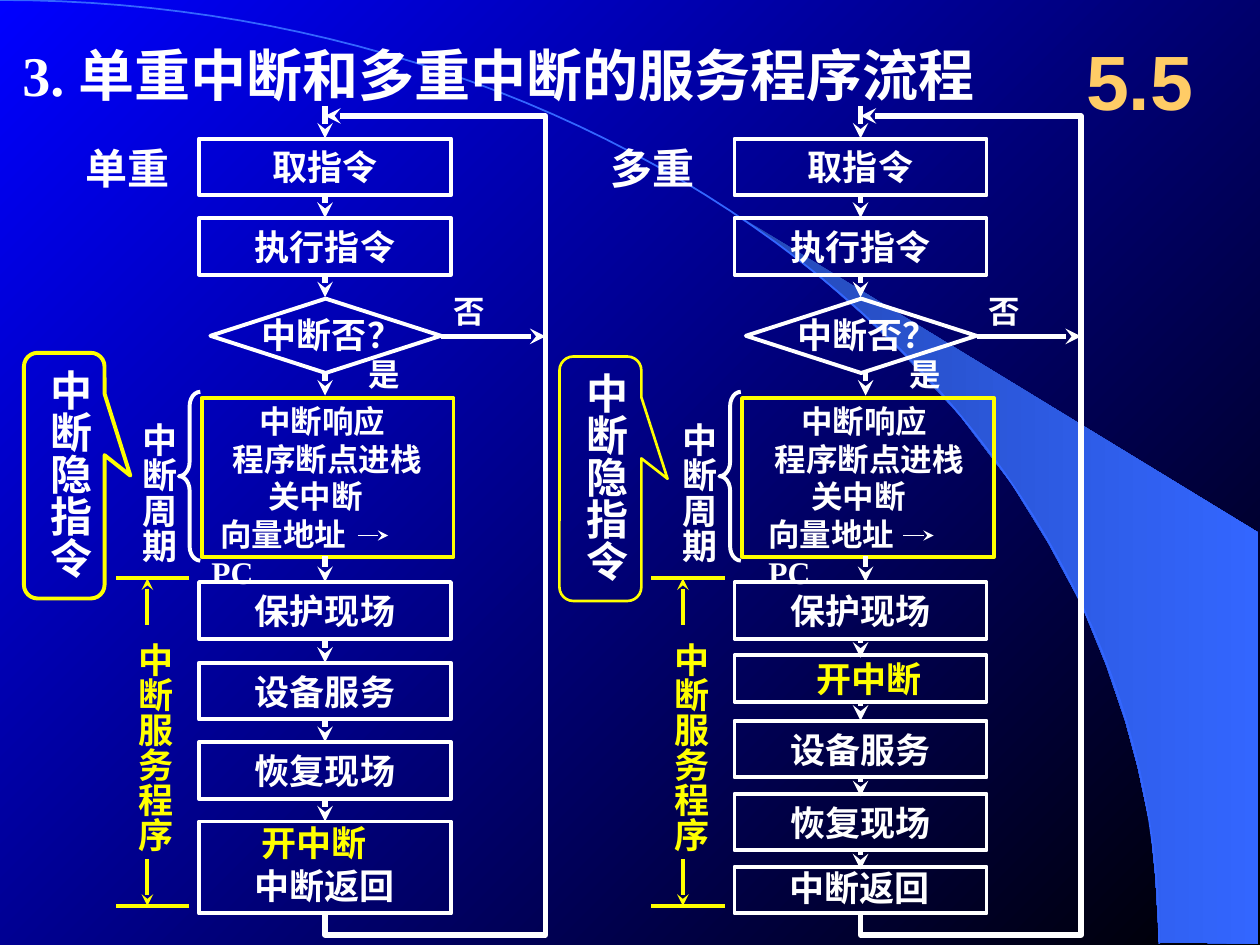
import math
from lxml import etree
from pptx import Presentation, util as u
from pptx.dml.color import RGBColor
from pptx.enum import shapes as s, text as t
from pptx.oxml import ns

THEME = dict(
    white="FFFFFF", yellow="FFFF00", amber="FFCC66", blue="3366FF",
    sky=("0000FF", "000000"), beam=("2449B6", "3366FF"),
    serif="Times New Roman", sans="Arial",
    title=32, number=44, lane=24, step=20, note=18,
    heavy=3, border=2.25, thin=0.75,
)
WIDTH, HEIGHT = 10, 7.5
BOX_W, BOX_H, MIN_ARROW = 2, 0.45, 0.15
LOOP_TOP, LOOP_BOTTOM, LOOP_REACH = 0.92, 7.42, 1.75
BRANCH_Y = 2.67

# Content: x values are offsets from the centre axis of each lane
TITLE, SECTION = "3. 单重中断和多重中断的服务程序流程", "5.5"
FETCH = [("取指令", 1.1, BOX_H), ("执行指令", 1.73, BOX_H)]
CYCLE = ["中断响应", "程序断点进栈", "关中断", "向量地址", "PC"]
LANES = [
    dict(name="单重", axis=2.58, name_dx=-2.0, cycle_dx=0, cycle_text_dx=-1.0,
         indents=[0.38, 0.17, 0.45, 0.07, 0], vector_dx=0.26,
         callout=(-2.39, 2.8, 0.64, 1.95), callout_line=2.25,
         service=[("保护现场", 4.62, BOX_H), ("设备服务", 5.26, BOX_H),
                  ("恢复现场", 5.89, BOX_H), ("", 6.52, 0.73)],
         captions=[("开中断", -0.6, 6.47, "yellow"), ("中断返回", -0.66, 6.81, "white")]),
    dict(name="多重", axis=6.83, name_dx=-2.08, cycle_dx=0.04, cycle_text_dx=-0.83,
         indents=[0.26, 0.05, 0.34, 0, 0], vector_dx=0.34,
         callout=(-2.39, 2.83, 0.65, 1.94), callout_line=1.5,
         service=[("保护现场", 4.62, BOX_H), ("", 5.2, 0.37), ("设备服务", 5.72, BOX_H),
                  ("恢复现场", 6.3, BOX_H), ("", 6.88, 0.37)],
         captions=[("开中断", -0.45, 5.17, "yellow"), ("中断返回", -0.66, 6.83, "white")]),
]
BEAM = [(9.2, 7.48), (9.99, 7.49), (9.99, 4.23), (5.89, 1.73), (6.24, 1.99), (6.53, 2.22),
        (6.85, 2.5), (7.16, 2.8), (7.62, 3.3), (8.03, 3.84), (8.32, 4.31), (8.58, 4.79),
        (8.78, 5.28), (8.93, 5.72), (9.03, 6.09), (9.13, 6.56), (9.17, 6.96)]

deck = Presentation()
deck.slide_width, deck.slide_height = u.Inches(WIDTH), u.Inches(HEIGHT)
slide = deck.slides.add_slide(deck.slide_layouts[6])


def rgb(color):
    return RGBColor.from_string(THEME.get(color, color))


def assign(target, **values):
    for key, value in values.items():
        setattr(target, key, value)


def gradient(fill, colors, angle):
    fill.gradient()
    fill.gradient_angle = angle
    for stop, color in zip(fill.gradient_stops, colors):
        stop.color.rgb = rgb(color)


def outline(part, color, width, arrow=False):
    part.line.color.rgb = rgb(color)
    part.line.width = u.Pt(width)
    if arrow:
        etree.SubElement(part.line._get_or_add_ln(), ns.qn("a:tailEnd"), type="stealth")


def write(part, lines, size, color="white", font="serif", indents=None, vertical=False,
          align=t.PP_ALIGN.LEFT, anchor=t.MSO_ANCHOR.TOP, inset=(0.1, 0.05, 0, 0)):
    frame = part.text_frame
    sides = ("margin_left", "margin_top", "margin_right", "margin_bottom")
    assign(frame, word_wrap=True, vertical_anchor=anchor,
           **{side: u.Inches(gap) for side, gap in zip(sides, inset)})
    if vertical:
        frame._txBody.bodyPr.set("vert", "eaVert")
    for i, line in enumerate(lines):
        para = frame.paragraphs[0] if i == 0 else frame.add_paragraph()
        para.alignment = align
        if indents:
            para._p.get_or_add_pPr().set("marL", str(u.Inches(indents[i])))
        run = para.add_run()
        run.text = line
        assign(run.font, name=THEME[font], size=u.Pt(THEME[size]), bold=True)
        run.font.color.rgb = rgb(color)


def label(lines, x, y, w, h, size, **style):
    write(slide.shapes.add_textbox(*map(u.Inches, (x, y, w, h))), lines, size, **style)


def shape(kind, x, y, w, h, color="white", width=THEME["border"], adjust=()):
    part = slide.shapes.add_shape(kind, *map(u.Inches, (x, y, w, h)))
    part.shadow.inherit = False
    part.fill.background()
    outline(part, color, width)
    for i, value in enumerate(adjust):
        part.adjustments[i] = value
    return part


def line(x1, y1, x2, y2, color="white", width=THEME["heavy"], arrow=True):
    part = slide.shapes.add_connector(s.MSO_CONNECTOR.STRAIGHT,
                                      *map(u.Inches, (x1, y1, x2, y2)))
    outline(part, color, width, arrow)
    etree.SubElement(part._element.spPr, ns.qn("a:effectLst"))


def outline_path(points, close=False):
    first, *rest = [(u.Inches(x), u.Inches(y)) for x, y in points]
    builder = slide.shapes.build_freeform(*first)
    builder.add_line_segments(rest, close=close)
    part = builder.convert_to_shape()
    part.shadow.inherit = False
    part.fill.background()
    return part


def draw_lane(lane):
    axis = lane["axis"]
    left = axis - BOX_W / 2

    # Boxes and the arrows between them
    for group in (FETCH, lane["service"]):
        for name, y, h in group:
            box = shape(s.MSO_SHAPE.RECTANGLE, left, y, BOX_W, h)
            if name:
                write(box, [name], "step", align=t.PP_ALIGN.CENTER,
                      anchor=t.MSO_ANCHOR.MIDDLE, inset=(0, 0, 0, 0))
        for (_, y, h), (_, below, _) in zip(group, group[1:]):
            line(axis, y + h, axis, max(below, y + h + MIN_ARROW))
    for caption, dx, y, color in lane["captions"]:
        label([caption], axis + dx, y, 1.32, 0.43, "step", color=color)
    line(axis, 0.84, axis, 1.1)
    line(axis, 2.18, axis, 2.36)

    # Decision
    label(["中断否？"], axis - 0.6, 2.44, 1.32, 0.43, "step")
    shape(s.MSO_SHAPE.DIAMOND, axis - 0.91, 2.37, 1.83, 0.59)
    label(["否"], axis + 0.92, 2.27, 0.45, 0.4, "note")

    # Interrupt cycle
    cycle = axis + lane["cycle_dx"]
    label(CYCLE, axis + lane["cycle_text_dx"], 3.14, 1.95, 1.6, "note",
          indents=lane["indents"])
    vector = axis + lane["vector_dx"]
    line(vector, 4.25, vector + 0.24, 4.25, width=THEME["thin"])
    shape(s.MSO_SHAPE.RECTANGLE, cycle - 0.98, 3.16, BOX_W, 1.26, "yellow")
    line(cycle, 2.96, cycle, 3.14)
    line(cycle, 4.41, cycle, 4.62)
    label(["中断周期"], cycle - 1.61, 3.26, 0.53, 1.22, "step", vertical=True,
          anchor=t.MSO_ANCHOR.MIDDLE)
    shape(s.MSO_SHAPE.LEFT_BRACE, cycle - 1.16, 3.11, 0.17, 1.34, adjust=(0.67, 0.5))
    label(["是"], cycle + 0.25, 2.77, 0.45, 0.4, "note")

    # Extent of the service program
    for edge, inner in ((4.59, 4.96), (7.19, 6.82)):
        line(axis - 1.08, edge, axis - 1.66, edge, "yellow", THEME["border"], arrow=False)
        line(axis - 1.41, inner, axis - 1.41, edge, "yellow", THEME["border"])
    label(["中断服务程序"], axis - 1.64, 5, 0.53, 1.78, "step", color="yellow",
          vertical=True, anchor=t.MSO_ANCHOR.MIDDLE)

    # Callout
    dx, *place = lane["callout"]
    callout = shape(s.MSO_SHAPE.ROUNDED_RECTANGULAR_CALLOUT, axis + dx, *place, "yellow",
                    lane["callout_line"], adjust=(0.82, 0, 0.17))
    write(callout, ["中断隐指令"], "lane", vertical=True, anchor=t.MSO_ANCHOR.MIDDLE,
          inset=(0.12, 0.05, 0.03, 0))

    # Return loop and the branch that joins it
    rail = axis + LOOP_REACH
    loop = outline_path([(axis, 7.25), (axis, LOOP_BOTTOM), (rail, LOOP_BOTTOM),
                         (rail, LOOP_TOP), (axis, LOOP_TOP)])
    outline(loop, "white", THEME["heavy"], arrow=True)
    line(axis + 0.92, BRANCH_Y, rail, BRANCH_Y)
    label([lane["name"]], axis + lane["name_dx"], 1.08, 1, 0.5, "lane")


# Background: gradient, beam and quarter arc
gradient(slide.background.fill, THEME["sky"], 315)
beam = outline_path(BEAM, close=True)
gradient(beam.fill, THEME["beam"], 0)
beam.line.fill.background()
angles = [math.pi / 2 * i / 60 for i in range(61)]
arc = outline_path([(9.2 * math.sin(a), 7.49 * (1 - math.cos(a))) for a in angles])
outline(arc, "blue", 1)

# Heading and lanes
label([TITLE], 0.08, 0.27, 7.78, 0.63, "title")
for lane in LANES:
    draw_lane(lane)
label([SECTION], 8.42, 0.17, 1.25, 0.92, "number", color="amber", font="sans",
      align=t.PP_ALIGN.CENTER, anchor=t.MSO_ANCHOR.MIDDLE, inset=(0.1, 0.05, 0.1, 0.05))

deck.save("out.pptx")
